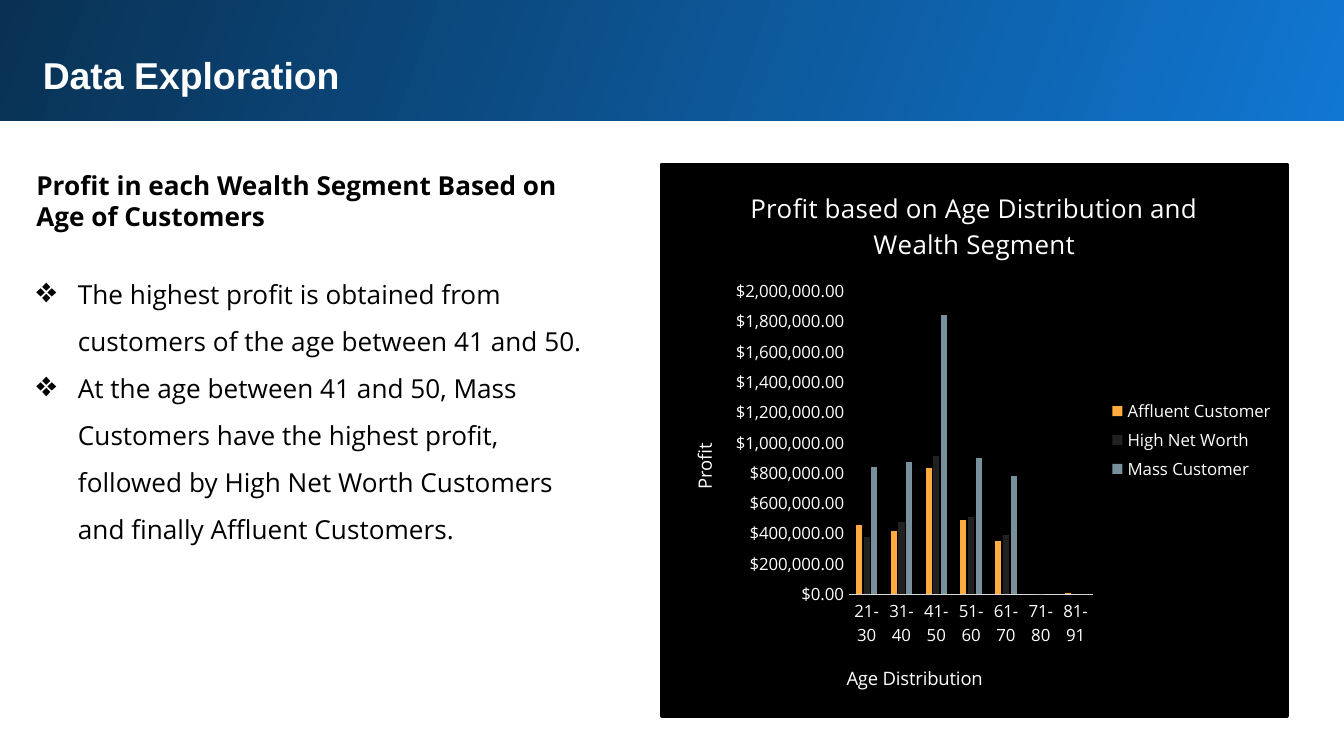
from lxml.etree import SubElement
from pptx import Presentation
from pptx.chart.data import CategoryChartData
from pptx.dml.color import RGBColor
from pptx.enum.chart import XL_CHART_TYPE, XL_LEGEND_POSITION, XL_TICK_MARK
from pptx.enum.shapes import MSO_SHAPE
from pptx.oxml import parse_xml
from pptx.oxml.ns import nsdecls, qn
from pptx.util import Inches, Pt

COLORS = {
    "white": "FFFFFF", "black": "000000", "blue": "1077D2", "navy": "093153",
    "axis": "D9D9D9", "amber": "FFAB40", "coal": "212121", "slate": "78909C",
}


def style(font, size, color, name="Open Sans", bold=False):
    for key, val in {"size": Pt(size), "name": name, "bold": bold}.items():
        setattr(font, key, val)
    font.color.rgb = RGBColor.from_string(COLORS[color])


def place(item, tag, **spots):
    for old in item.findall(qn("c:layout")):
        item.remove(old)
    layout = parse_xml(f"<c:layout {nsdecls('c')}><c:manualLayout/></c:layout>")
    for key, val in spots.items():
        SubElement(layout[0], qn(f"c:{key}")).set("val", str(val))
    mark = item.find(qn(tag))
    if mark is None:
        item.insert(0, layout)
    else:
        mark.addnext(layout)


deck = Presentation()
deck.slide_width, deck.slide_height = Inches(10), Inches(10 * 9 / 16)
slide = deck.slides.add_slide(deck.slide_layouts[6])
shapes = slide.shapes

band = shapes.add_shape(MSO_SHAPE.RECTANGLE, Inches(-0.02), Inches(-0.02), Inches(10.05), Inches(0.92))
band.shadow.inherit = False
band.line.fill.background()
band.fill.gradient()
band.fill.gradient_angle = 160
for stop, color in zip(band.fill.gradient_stops, ("blue", "navy")):
    stop.color.rgb = RGBColor.from_string(COLORS[color])

frames = []
for left, top, width, height, inset in ((0.22, 0.29, 9.37, 0.51, 0.1), (0.22, 1.21, 4.22, 2.93, 0.05)):
    frame = shapes.add_textbox(Inches(left), Inches(top), Inches(width), Inches(height)).text_frame
    frame.word_wrap = True
    for side in ("left", "right", "top", "bottom"):
        setattr(frame, f"margin_{side}", Inches(inset))
    frames.append(frame)
head, body = frames

run = head.paragraphs[0].add_run()
run.text = "Data Exploration"
style(run.font, 20, "white", "Arial", True)

para = body.paragraphs[0]
para.space_after = Pt(16.5)
run = para.add_run()
run.text = "Profit in each Wealth Segment Based on Age of Customers"
style(run.font, 14, "black", bold=True)

for text in (
    "The highest profit is obtained from customers of the age between 41 and 50.",
    "At the age between 41 and 50, Mass Customers have the highest profit, "
    "followed by High Net Worth Customers and finally Affluent Customers.",
):
    para = body.add_paragraph()
    para.line_spacing = 1.5
    run = para.add_run()
    run.text = text
    style(run.font, 14, "black")
    props = para._p.get_or_add_pPr()
    for key, val in {"marL": Inches(0.31), "indent": Inches(-0.31)}.items():
        props.set(key, str(int(val)))
    SubElement(props, qn("a:buSzPct")).set("val", "135000")
    SubElement(props, qn("a:buChar")).set("char", "❖")

series = (
    ("Affluent Customer", "amber", (460000, 420000, 830000, 490000, 350000, 0, 10000)),
    ("High Net Worth", "coal", (380000, 480000, 910000, 510000, 390000, 0, None)),
    ("Mass Customer", "slate", (840000, 870000, 1840000, 900000, 780000, None, 0)),
)
data = CategoryChartData()
data.categories = ["21-30", "31-40", "41-50", "51-60", "61-70", "71-80", "81-91"]
for name, color, vals in series:
    data.add_series(name, vals)
chart = shapes.add_chart(
    XL_CHART_TYPE.COLUMN_CLUSTERED, Inches(4.91), Inches(1.21), Inches(4.68), Inches(4.13), data
).chart
style(chart.font, 10, "white")

plot = chart.plots[0]
for key, val in {"gap_width": 219, "overlap": -27, "vary_by_categories": False}.items():
    setattr(plot, key, val)
for bar, (name, color, vals) in zip(plot.series, series):
    bar.format.fill.solid()
    bar.format.fill.fore_color.rgb = RGBColor.from_string(COLORS[color])

cat, val = chart.category_axis, chart.value_axis
for owner, text, size in (
    (chart, "Profit based on Age Distribution and Wealth Segment", 14),
    (cat, "Age Distribution", 10),
    (val, "Profit", 10),
):
    title = owner.chart_title if owner is chart else owner.axis_title
    run = title.text_frame.paragraphs[0].add_run()
    run.text = text
    style(run.font, size, "white")
chart.chart_title.include_in_layout = False

for axis in (cat, val):
    axis.has_major_gridlines = False
    axis.major_tick_mark = axis.minor_tick_mark = XL_TICK_MARK.NONE
    style(axis.tick_labels.font, 9, "white")
cat.format.line.color.rgb = RGBColor.from_string(COLORS["axis"])
cat.format.line.width = Pt(0.75)
val.format.line.fill.background()
for key, item in {"minimum_scale": 0, "maximum_scale": 2000000, "major_unit": 200000}.items():
    setattr(val, key, item)
val.tick_labels.number_format = '"$"#,##0.00'
val.tick_labels.number_format_is_linked = False

chart.has_legend = True
chart.legend.position = XL_LEGEND_POSITION.RIGHT
chart.legend.include_in_layout = False
style(chart.legend.font, 9, "white")

space = chart._chartSpace
area = space.chart.plotArea
place(area, "c:none", layoutTarget="inner", xMode="edge", yMode="edge", x=0.3, y=0.23, w=0.39, h=0.55)
place(cat.axis_title._element, "c:tx", xMode="edge", yMode="edge", x=0.29, y=0.9)
place(val.axis_title._element, "c:tx", xMode="edge", yMode="edge", x=0.04, y=0.5)
back = parse_xml(
    f"<c:spPr {nsdecls('c', 'a')}>"
    f'<a:solidFill><a:srgbClr val="{COLORS["black"]}"/></a:solidFill>'
    f'<a:ln w="{int(Pt(2))}"><a:solidFill><a:srgbClr val="{COLORS["black"]}"/></a:solidFill></a:ln>'
    "</c:spPr>"
)
space.chart.addnext(back)

deck.save("out.pptx")
